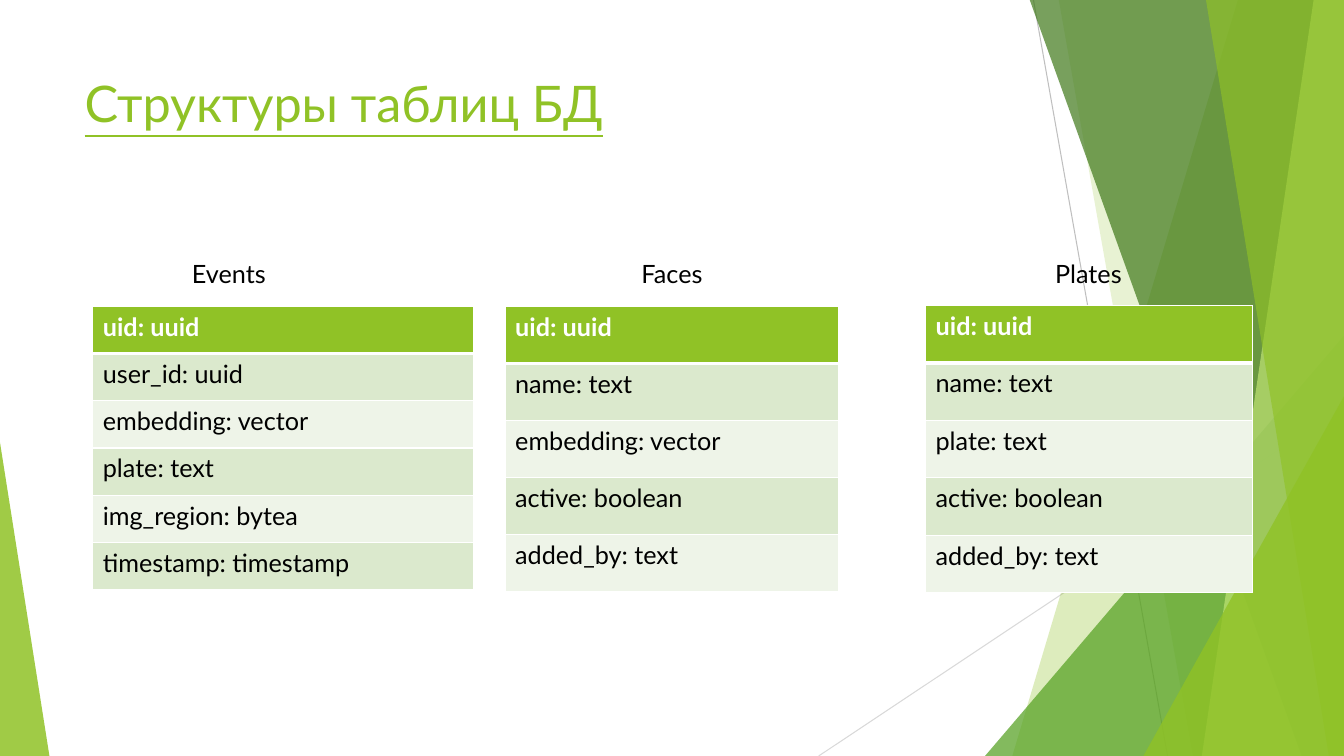
from lxml import etree
from pptx import Presentation
from pptx.dml.color import RGBColor
from pptx.enum import shapes, text
from pptx.oxml import ns
from pptx.util import Inches, Pt

LIME = RGBColor(0x90, 0xC2, 0x26)
GREEN = RGBColor(0x54, 0xA0, 0x21)
DARK = RGBColor(0x3F, 0x78, 0x19)
PALE = RGBColor(0xC0, 0xE4, 0x74)
ODD = RGBColor(0xDB, 0xE9, 0xCD)
EVEN = RGBColor(0xEE, 0xF4, 0xE8)
GREY = RGBColor(0xBF, 0xBF, 0xBF)
SILVER = RGBColor(0xD9, 0xD9, 0xD9)
WHITE = RGBColor(255, 255, 255)
BLACK = RGBColor(0, 0, 0)
WIDE, HIGH = 13.33, 7.5


def label(words, x, y, w, h, size, color, align):
    box = slide.shapes.add_textbox(Inches(x), Inches(y), Inches(w), Inches(h))
    box.text_frame.word_wrap = True
    para = box.text_frame.paragraphs[0]
    para.text = words
    para.alignment = align
    para.font.name = "Lato"
    para.font.size = Pt(size)
    para.font.color.rgb = color
    return para


def border(cell, side, width):
    """Add a white border; call for L, R, T, B in turn, before the fill."""
    edge = etree.SubElement(cell._tc.get_or_add_tcPr(), ns.qn("a:ln" + side), w=str(Pt(width)))
    fill = etree.SubElement(edge, ns.qn("a:solidFill"))
    etree.SubElement(fill, ns.qn("a:srgbClr"), val=str(WHITE))


deck = Presentation()
deck.slide_width, deck.slide_height = Inches(WIDE), Inches(HIGH)
slide = deck.slides.add_slide(deck.slide_layouts[6])

# Thin lines behind the facets
for x1, y1, x2, y2, color in ((10.25, 0, 11.58, HIGH, GREY), (WIDE, 4.03, 8.12, HIGH, SILVER)):
    line = slide.shapes.add_connector(
        shapes.MSO_CONNECTOR.STRAIGHT, Inches(x1), Inches(y1), Inches(x2), Inches(y2))
    line.line.color.rgb = color
    line.line.width = Pt(0.75)
    etree.SubElement(line._element.spPr, ns.qn("a:effectLst"))

# Bands give the left edge at top and foot; wedges give left, top, width, apex
facets = (
    ("band", (12.28, 10.04), LIME, 30),
    ("band", (10.5, 11.83), LIME, 20),
    ("wedge", (9.77, 3.33, 3.56, 1), GREEN, 72),
    ("band", (10.21, 12.91), DARK, 70),
    ("band", (13.03, 11.92), PALE, 70),
    ("band", (11.96, 13.18), LIME, 65),
    ("wedge", (11.34, 3.93, 1.99, 1), LIME, 80),
    ("wedge", (0, 4.39, 0.49, 0), LIME, 85),
)
for kind, place, color, alpha in facets:
    if kind == "band":
        top, foot = place
        pen = slide.shapes.build_freeform(Inches(top), Inches(-0.01))
        pen.add_line_segments([(Inches(x), Inches(y)) for x, y in (
            (WIDE, -0.01), (WIDE, HIGH), (foot, HIGH))])
        facet = pen.convert_to_shape()
    else:
        x, y, w, apex = place
        facet = slide.shapes.add_shape(
            shapes.MSO_SHAPE.ISOSCELES_TRIANGLE,
            Inches(x), Inches(y), Inches(w), Inches(HIGH - y))
        facet.adjustments[0] = apex
    facet.shadow.inherit = False
    facet.line.fill.background()
    facet.fill.solid()
    facet.fill.fore_color.rgb = color
    tone = facet._element.spPr.find(ns.qn("a:solidFill"))[0]
    etree.SubElement(tone, ns.qn("a:alpha"), val=str(alpha * 1000))

title = label("Структуры таблиц БД", 0.74, 0.67, 9.4, 1.44, 36, LIME, text.PP_ALIGN.JUSTIFY)
title.font.underline = True

# Name, name box (left, width), table box (left, top, width, height), fields
tables = (
    ("Events", (1.28, 1.98), (0.92, 3.04, 3.78, 2.81),
     ("uid: uuid", "user_id: uuid", "embedding: vector", "plate: text",
      "img_region: bytea", "timestamp: timestamp")),
    ("Faces", (5.71, 1.91), (5.01, 3.04, 3.31, 2.83),
     ("uid: uuid", "name: text", "embedding: vector", "active: boolean", "added_by: text")),
    ("Plates", (10.07, 1.45), (9.18, 3.03, 3.24, 2.85),
     ("uid: uuid", "name: text", "plate: text", "active: boolean", "added_by: text")),
)
for name, (left, width), box, fields in tables:
    grid = slide.shapes.add_table(len(fields), 1, *map(Inches, box)).table
    for row, field in enumerate(fields):
        cell = grid.cell(row, 0)
        for side in "LRTB":
            thick = (row, side) in ((0, "B"), (1, "T"))
            border(cell, side, 3 if thick else 1)
        cell.fill.solid()
        cell.fill.fore_color.rgb = LIME if row == 0 else ODD if row % 2 else EVEN
        para = cell.text_frame.paragraphs[0]
        para.text = field
        para.font.name = "Lato"
        para.font.size = Pt(18)
        para.font.bold = row == 0
        para.font.color.rgb = BLACK if row else WHITE
    label(name, left, 2.51, width, 0.4, 18, BLACK, text.PP_ALIGN.CENTER)

deck.save("out.pptx")
